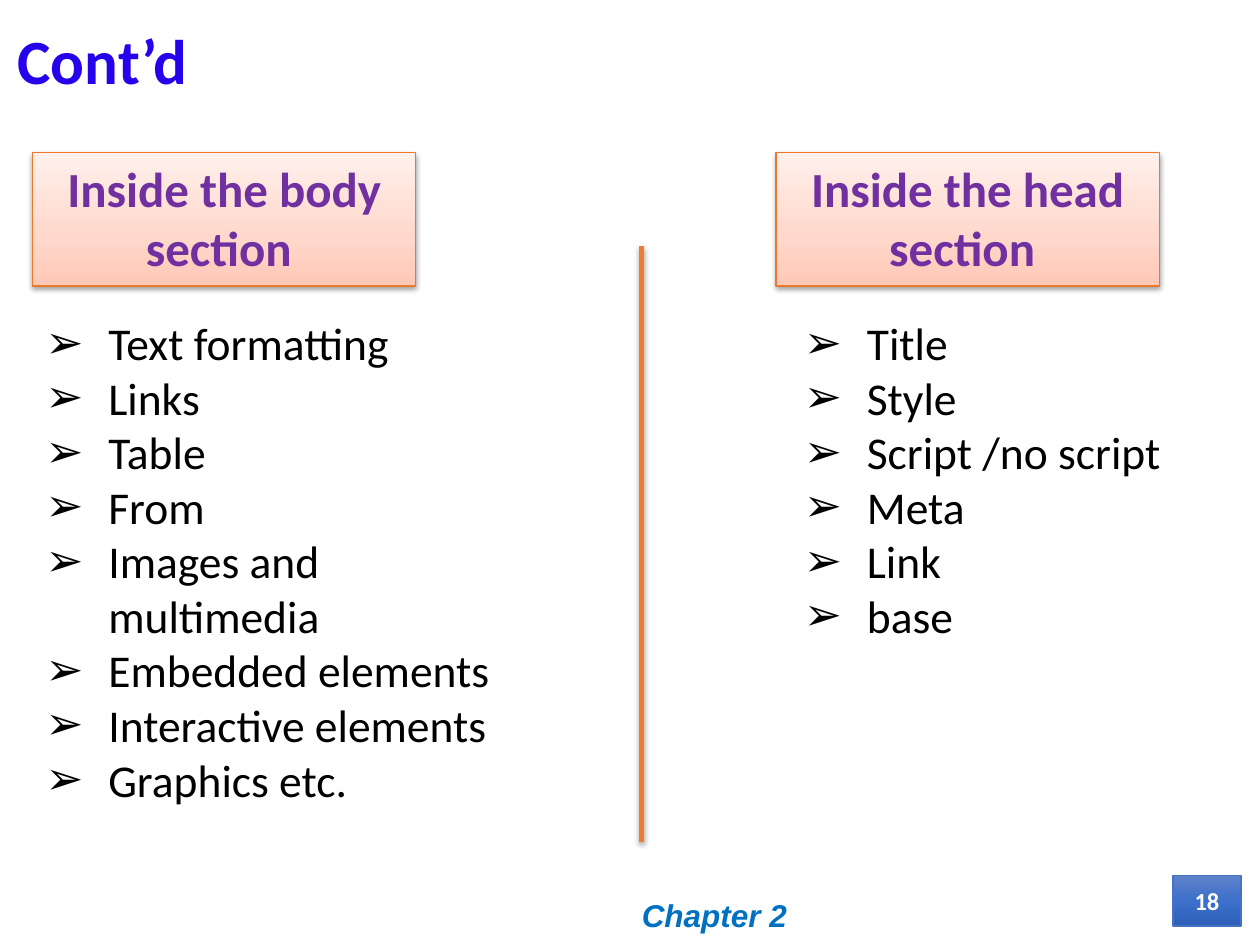
from lxml.etree import SubElement
from pptx import Presentation
from pptx.dml.color import RGBColor
from pptx.enum.shapes import MSO_CONNECTOR, MSO_SHAPE
from pptx.enum.text import MSO_ANCHOR, MSO_AUTO_SIZE, PP_ALIGN
from pptx.oxml.ns import qn
from pptx.util import Inches, Pt

rgb = RGBColor.from_string


def add_gradient(sp, stops, angle):
    grad = SubElement(sp._element.spPr, qn("a:gradFill"), rotWithShape="1")
    lst = SubElement(grad, qn("a:gsLst"))
    for pos, color in stops:
        gs = SubElement(lst, qn("a:gs"), pos=str(pos * 1000))
        SubElement(gs, qn("a:srgbClr"), val=color)
    SubElement(grad, qn("a:lin"), ang=str(angle * 60000), scaled="0")


def add_shadow(sp, opacity, dist):
    effects = SubElement(sp._element.spPr, qn("a:effectLst"))
    shadow = SubElement(effects, qn("a:outerShdw"), blurRad=str(Pt(3.1)),
                        dist=str(Pt(dist)), dir="5400000", rotWithShape="0")
    color = SubElement(shadow, qn("a:srgbClr"), val="000000")
    SubElement(color, qn("a:alpha"), val=str(opacity * 1000))


prs = Presentation()
prs.slide_width, prs.slide_height = Inches(10), Inches(7.5)
s = prs.slides.add_slide(prs.slide_layouts[4])
ph = {p.placeholder_format.idx: p for p in s.placeholders}

title = s.shapes.title
title.left, title.top = Inches(0.04), Inches(0.17)
title.width, title.height = Inches(8.83), Inches(0.68)
tf = title.text_frame
tf.text = "Cont’d"
tf.auto_size = MSO_AUTO_SIZE.NONE
tf.vertical_anchor = MSO_ANCHOR.MIDDLE
p = tf.paragraphs[0]
p.alignment = PP_ALIGN.LEFT
p.line_spacing = 0.9
f = p.runs[0].font
f.name, f.size, f.bold = "Calibri", Pt(36), True
f.color.rgb = rgb("2504EC")

columns = [
    (1, 0.26, "Inside the body section ", 0.26, 3.75, 4.04,
     ["Text formatting", "Links", "Table", "From", "Images and multimedia",
      "Embedded elements", "Interactive elements", "Graphics etc."]),
    (3, 6.16, "Inside the head section ", 6.28, 3.39, 2.73,
     ["Title", "Style", "Script /no script", "Meta", "Link", "base"]),
]
for idx, head_x, heading, list_x, list_w, list_h, items in columns:
    head = ph[idx]
    head.left, head.top = Inches(head_x), Inches(1.21)
    head.width, head.height = Inches(3.04), Inches(1.06)
    add_gradient(head, [(0, "FFC7B6"), (35, "FFD7CB"), (100, "FFF0EB")], 270)
    head.line.color.rgb = rgb("EC792B")
    head.line.width = Pt(0.75)
    add_shadow(head, 38, 1.6)
    tf = head.text_frame
    tf.text = heading
    tf.auto_size = MSO_AUTO_SIZE.NONE
    tf.vertical_anchor = MSO_ANCHOR.TOP
    p = tf.paragraphs[0]
    p.alignment = PP_ALIGN.CENTER
    p.space_before, p.space_after = Pt(0), Pt(6)
    f = p.runs[0].font
    f.name, f.size, f.bold = "Calibri", Pt(28), True
    f.color.rgb = rgb("7030A0")

    body = ph[idx + 1]
    body.left, body.top = Inches(list_x), Inches(2.45)
    body.width, body.height = Inches(list_w), Inches(list_h)
    tf = body.text_frame
    tf.text = "\n".join(items)
    tf.auto_size = MSO_AUTO_SIZE.NONE
    for p in tf.paragraphs:
        p.space_before = Pt(0)
        pPr = p._p.get_or_add_pPr()
        pPr.set("marL", str(Inches(0.5)))
        pPr.set("indent", str(-Inches(0.5)))
        SubElement(SubElement(pPr, qn("a:buClr")), qn("a:srgbClr"), val="000000")
        SubElement(pPr, qn("a:buFont"), typeface="Arial")
        SubElement(pPr, qn("a:buChar"), char="➢")
        f = p.runs[0].font
        f.name, f.size = "Calibri", Pt(26)
        f.color.rgb = rgb("000000")

divider = s.shapes.add_connector(MSO_CONNECTOR.STRAIGHT, Inches(5.09), Inches(1.95),
                                 Inches(5.09), Inches(6.68))
divider.line.color.rgb = rgb("ED7D31")
divider.line.width = Pt(3)
add_shadow(divider, 35, 1.8)

footer = s.shapes.add_textbox(Inches(4.42), Inches(7.06), Inches(2.5), Inches(0.4))
number = s.shapes.add_shape(MSO_SHAPE.RECTANGLE, Inches(9.31), Inches(6.95),
                            Inches(0.54), Inches(0.4))
add_gradient(number, [(0, "5F82CA"), (50, "3C70CA"), (100, "2E60B9")], 90)
number.line.color.rgb = rgb("4472C4")
number.line.width = Pt(0.75)
number.shadow.inherit = False

for sp, text, font, size, color, italic in [
    (footer, "Chapter 2", "Arial", 18, "0070C0", True),
    (number, "18", "Calibri", 14, "FFFFFF", False),
]:
    tf = sp.text_frame
    tf.text = text
    tf.word_wrap = True
    tf.vertical_anchor = MSO_ANCHOR.MIDDLE
    p = tf.paragraphs[0]
    p.alignment = PP_ALIGN.CENTER
    f = p.runs[0].font
    f.name, f.size, f.bold, f.italic = font, Pt(size), True, italic
    f.color.rgb = rgb(color)

prs.save("out.pptx")
